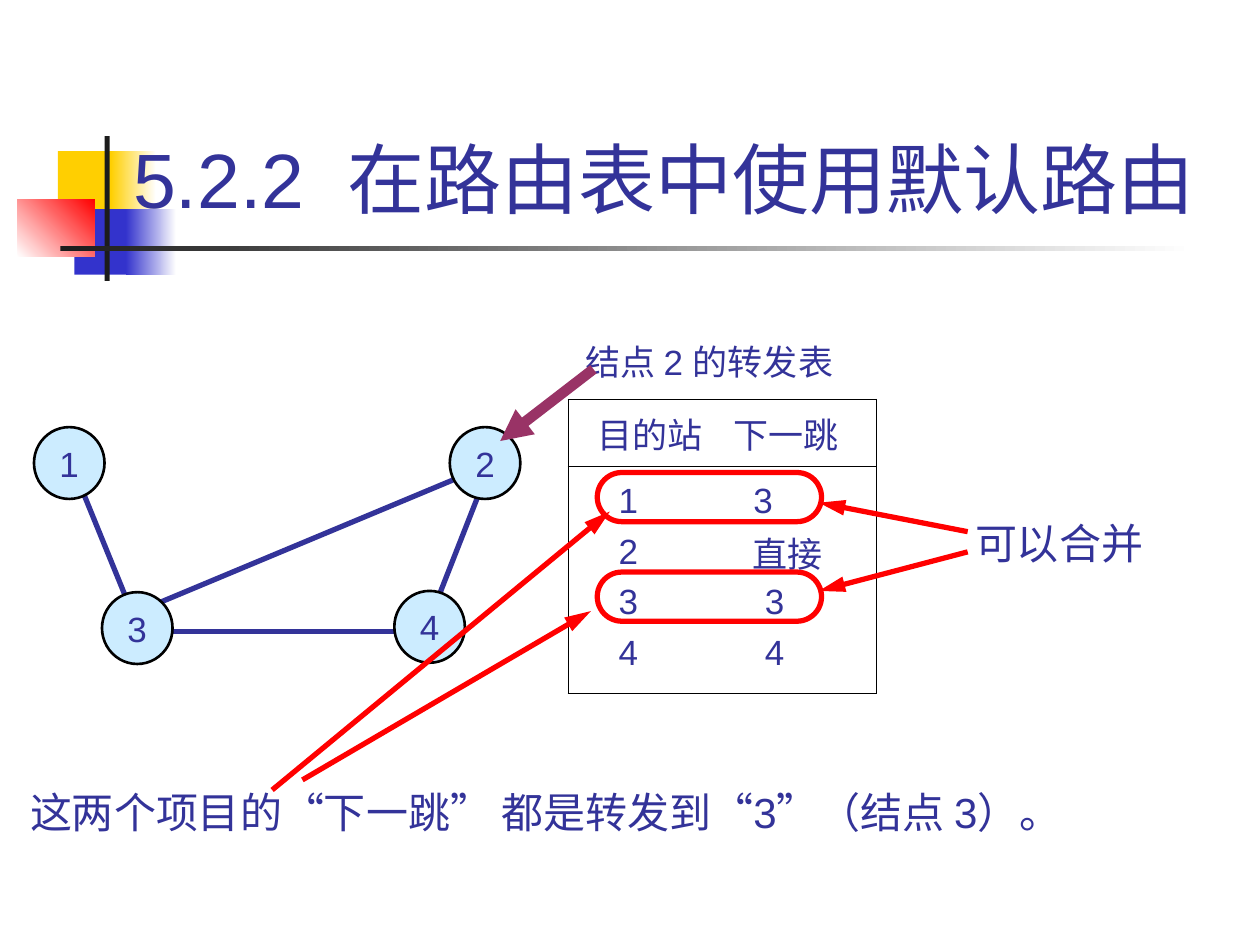
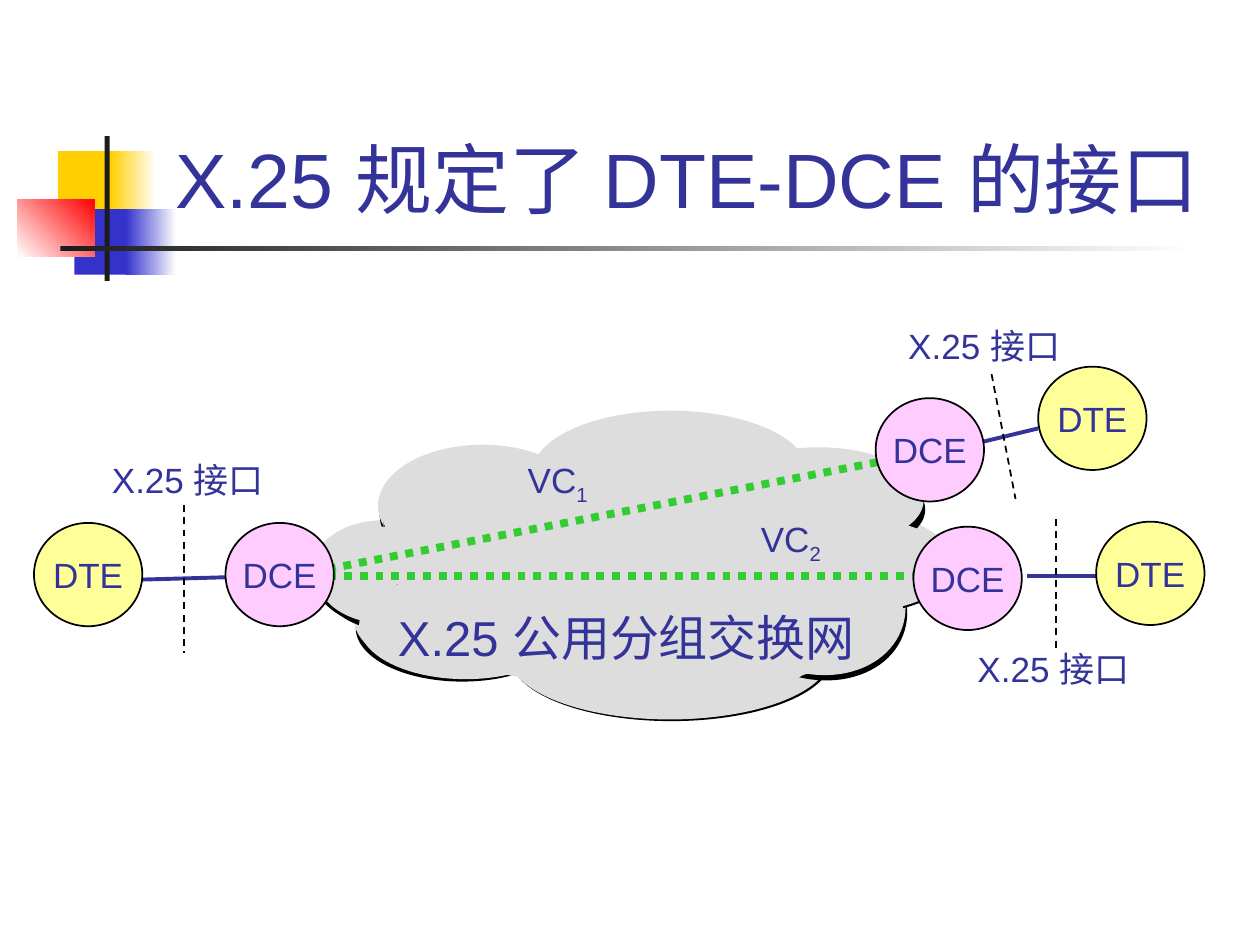
"""Builds two slides: default routes in a forwarding table, and the X.25 DTE-DCE interface."""
from lxml import etree
from pptx import Presentation
from pptx import util as u
from pptx.dml import color as c
from pptx.enum import dml, shapes, text
from pptx.oxml import ns

INK = c.RGBColor(0x33, 0x33, 0x99)
BLACK = c.RGBColor(0, 0, 0)
WHITE = c.RGBColor(0xFF, 0xFF, 0xFF)
RED = c.RGBColor(0xFF, 0, 0)
YELLOW = c.RGBColor(0xFF, 0xCF, 0x01)
BLUE = c.RGBColor(0x33, 0x33, 0xCC)
CHARCOAL = c.RGBColor(0x1C, 0x1C, 0x1C)
NODE_FILL = c.RGBColor(0xCC, 0xEC, 0xFF)
PLUM = c.RGBColor(0x99, 0x33, 0x66)
CLOUD_GREY = c.RGBColor(0xDD, 0xDD, 0xDD)
CIRCUIT_GREEN = c.RGBColor(0x33, 0xCC, 0x33)
DTE_FILL = c.RGBColor(0xFF, 0xFF, 0x99)
DCE_FILL = c.RGBColor(0xFF, 0xCC, 0xFF)

FORM = shapes.MSO_SHAPE
ALIGN = text.PP_ALIGN
DOT, DASH = dml.MSO_LINE.ROUND_DOT, dml.MSO_LINE.DASH
TITLE_FRAME = {"vertical_anchor": text.MSO_ANCHOR.BOTTOM, "word_wrap": True,
               "auto_size": text.MSO_AUTO_SIZE.NONE}
NODE_FRAME = {"vertical_anchor": text.MSO_ANCHOR.MIDDLE, "word_wrap": False}


def write(frame, words, size=20, align=ALIGN.LEFT, settings=None, subscript=""):
    for name, value in (settings or {}).items():
        setattr(frame, name, value)
    paragraph = frame.paragraphs[0]
    paragraph.alignment = align
    for part in filter(None, (words, subscript)):
        run = paragraph.add_run()
        run.text = part
        for name, value in {"name": "Arial", "size": u.Pt(size), "bold": False}.items():
            setattr(run.font, name, value)
        run.font.color.rgb = INK
    if subscript:
        run.font._element.set("baseline", "-25000")


def draw_line(slide, ends, color, width, dash=None, head=None):
    link = slide.shapes.add_connector(shapes.MSO_CONNECTOR.STRAIGHT, *map(u.Inches, ends))
    link.line.color.rgb = color
    link.line.width = u.Pt(width)
    if dash:
        link.line.dash_style = dash
    if head:
        etree.SubElement(link.line._get_or_add_ln(), ns.qn("a:tailEnd"),
                         type="triangle", len=head)
    etree.SubElement(link.element.spPr, ns.qn("a:effectLst"))


deck = Presentation()
deck.slide_width, deck.slide_height = u.Inches(10), u.Inches(7.5)
title_only = deck.slide_layouts[5]
routing = deck.slides.add_slide(title_only)
x25 = deck.slides.add_slide(title_only)

for box, start, finish, angle in [
    ((0.46, 1.2, 0.48, 0.52), YELLOW, None, 0),
    ((0.88, 1.2, 0.36, 0.52), YELLOW, WHITE, 0),
    ((0.59, 1.66, 0.46, 0.52), BLUE, None, 0),
    ((1, 1.66, 0.4, 0.52), BLUE, WHITE, 0),
    ((0.14, 1.58, 0.61, 0.46), WHITE, RED, 45),
    ((0.83, 1.08, 0.04, 1.15), CHARCOAL, None, 0),
    ((0.48, 1.95, 9, 0.04), CHARCOAL, WHITE, 0),
]:
    ornament = routing.shapes.add_shape(FORM.RECTANGLE, *map(u.Inches, box))
    ornament.shadow.inherit = False
    ornament.line.fill.background()
    if finish is None:
        ornament.fill.solid()
        ornament.fill.fore_color.rgb = start
    else:
        ornament.fill.gradient()
        ornament.fill.gradient_angle = angle
        for stop, shade, position in zip(ornament.fill.gradient_stops, (start, finish), (0, 1)):
            stop.color.rgb = shade
            stop.position = position
    title_only.shapes.element.append(ornament.element)

for slide, left, heading in [
    (routing, 0.9, "5.2.2  在路由表中使用默认路由 "),
    (x25, 1.26, "X.25 规定了 DTE-DCE 的接口 "),
]:
    title = slide.shapes.title
    title.left, title.top = u.Inches(left), u.Inches(0.23)
    title.width, title.height = u.Inches(9.78 - left), u.Inches(1.6)
    write(title.text_frame, heading, 44, ALIGN.CENTER, TITLE_FRAME)

for route in [(3.84, 3.82, 3.44, 4.84), (0.64, 3.86, 1.08, 4.94),
              (1.2, 5.01, 3.23, 5.01), (1.2, 4.81, 3.69, 3.77)]:
    draw_line(routing, route, INK, 3)

dte, dce = ("DTE", DTE_FILL), ("DCE", DCE_FILL)
circles = [(routing, number, NODE_FILL, 1.5, (left, top, 0.56, 0.57)) for number, left, top in [
    ("1", 0.27, 3.39), ("2", 3.57, 3.39), ("4", 3.13, 4.69), ("3", 0.81, 4.7)]]
circles += [(x25, *kind, 1, (left, top, 0.86, 0.82)) for kind, left, top in [
    (dte, 8.7, 4.14), (dte, 8.24, 2.91), (dce, 7.25, 4.18),
    (dce, 6.95, 3.16), (dce, 1.79, 4.15), (dte, 0.27, 4.15)]]

cloud_puffs = [
    (5.94, 4.06, 1.6, 0.75, 5.1, 79), (4.04, 4.7, 2.55, 1.01, 1.4, 45),
    (2.81, 4.49, 1.69, 0.85, 5.1, 79), (2.48, 4.13, 1.11, 0.77, 5.1, 79),
    (3, 3.53, 1.66, 0.97, 5.1, 79), (4.23, 3.26, 2.18, 0.97, 5.1, 79),
    (5.7, 3.55, 1.6, 0.75, 5.1, 79), (3.4, 3.84, 3.29, 1.26, 5.1, 79),
    (5.61, 4.08, 1.6, 1.25, 3.2, 72), (4.26, 3.31, 2.18, 0.97, 5.1, 79),
    (3.03, 3.58, 1.66, 0.96, 5.1, 79), (2.51, 4.18, 1.1, 0.77, 5, 53),
    (5.73, 3.6, 1.6, 0.75, 5.1, 79), (5.97, 4.11, 1.6, 0.75, 1.4, 45),
    (3.43, 3.89, 3.29, 1.26, 5.1, 79), (2.85, 4.54, 1.69, 0.85, 8.9, 333),
]
for *box, distance, direction in cloud_puffs:
    puff = x25.shapes.add_shape(FORM.OVAL, *map(u.Inches, box))
    puff.rotation = 22.3 if direction == 72 else 0
    puff.fill.solid()
    puff.fill.fore_color.rgb = CLOUD_GREY
    puff.line.fill.background()
    puff.shadow.inherit = False
    shade = etree.SubElement(
        puff.element.spPr.find(ns.qn("a:effectLst")), ns.qn("a:outerShdw"),
        dist=str(u.Pt(distance)), dir=str(direction * 60000), algn="ctr", rotWithShape="0")
    etree.SubElement(shade, ns.qn("a:srgbClr"), val=str(BLACK))

cloud_core = [
    (3, 4.43), (3.23, 4.27), (3.07, 4.29), (3.19, 4.21), (3.28, 4.13), (3.44, 3.98),
    (3.58, 3.93), (3.83, 3.83), (4.02, 3.74), (4.23, 3.71), (4.46, 3.65), (5.33, 3.71),
    (5.7, 3.8), (6.05, 3.93), (6.19, 3.99), (6.54, 4.13), (6.74, 4.24), (6.88, 4.35),
    (7.02, 4.5), (7.14, 4.7), (7.17, 4.84), (7.14, 5.01), (7.09, 5.09), (6.95, 5.12),
    (6.77, 5.21), (6.51, 5.31), (6.37, 5.36), (6.21, 5.45), (4.27, 5.4), (4.04, 5.36),
    (3.88, 5.21), (3.69, 5.05), (3.58, 4.92), (3.35, 4.77), (3.16, 4.64), (3.05, 4.52),
]
outline = [(u.Inches(x), u.Inches(y)) for x, y in cloud_core]
builder = x25.shapes.build_freeform(*outline[0], scale=1.0)
builder.add_line_segments(outline[1:], close=True)
core = builder.convert_to_shape()
core.shadow.inherit = False
core.fill.solid()
core.fill.fore_color.rgb = CLOUD_GREY
core.line.fill.background()

for ends, color, width, dash in [
    ((2.48, 4.57, 7.69, 4.57), CIRCUIT_GREEN, 4.5, DOT),
    ((8.15, 4.57, 8.78, 4.57), INK, 2.25, None),
    ((7.66, 3.54, 8.24, 3.4), INK, 2.25, None),
    ((2.48, 4.54, 7.11, 3.64), CIRCUIT_GREEN, 4.5, DOT),
    ((1.12, 4.6, 1.85, 4.58), INK, 2.25, None),
    ((8.38, 4.12, 8.38, 5.14), BLACK, 1, DASH),
    ((7.87, 2.97, 8.06, 3.96), BLACK, 1, DASH),
    ((1.46, 4.01, 1.46, 5.18), BLACK, 1, DASH),
]:
    draw_line(x25, ends, color, width, dash)

for slide, name, fill, border, box in circles:
    circle = slide.shapes.add_shape(FORM.OVAL, *map(u.Inches, box))
    circle.shadow.inherit = False
    circle.fill.solid()
    circle.fill.fore_color.rgb = fill
    circle.line.color.rgb = BLACK
    circle.line.width = u.Pt(border)
    write(circle.text_frame, name, 20, ALIGN.CENTER, NODE_FRAME)

forwarding_rows = [
    (("目的站", 0.23), ("下一跳", 0.1)),
    (("1", 0.4), ("3", 0.26)),
    (("2", 0.4), ("直接", 0.25)),
    (("3", 0.4), ("3", 0.35)),
    (("4", 0.4), ("4", 0.35)),
]
forwarding = routing.shapes.add_table(
    5, 2, *map(u.Inches, (4.51, 3.17, 2.45, 2.33))).table
forwarding.first_row = forwarding.horz_banding = False
for column, width in zip(forwarding.columns, (1.21, 1.24)):
    column.width = u.Inches(width)
for row, height in zip(forwarding.rows, (0.53, 0.48, 0.4, 0.4, 0.52)):
    row.height = u.Inches(height)
for r, entries in enumerate(forwarding_rows):
    for k, (entry, indent) in enumerate(entries):
        cell = forwarding.cell(r, k)
        for name, value in {"margin_left": indent, "margin_right": 0,
                            "margin_top": 0.08 if r == 1 else 0,
                            "margin_bottom": 0.12 if r == 4 else 0}.items():
            setattr(cell, name, u.Inches(value))
        cell.vertical_anchor = text.MSO_ANCHOR.MIDDLE
        edges = {"lnL": k == 0, "lnR": k == 1, "lnT": r < 2, "lnB": r in (0, 4)}
        for edge, ruled in edges.items():
            rule = etree.SubElement(cell._tc.get_or_add_tcPr(), ns.qn("a:" + edge), w="9525")
            paint = etree.SubElement(rule, ns.qn("a:solidFill" if ruled else "a:noFill"))
            if ruled:
                etree.SubElement(paint, ns.qn("a:srgbClr"), val=str(BLACK))
        cell.fill.solid()
        cell.fill.fore_color.rgb = WHITE
        write(cell.text_frame, entry)

for slide, words, subscript, size, wrap, box in [
    (routing, "结点 2 的转发表", "", 20, False, (4.55, 2.65, 2.3, 0.44)),
    (routing, "这两个项目的“下一跳” 都是转发到“3”（结点 3）。", "", 24, True,
     (0.14, 6.19, 8.2, 0.9)),
    (routing, "可以合并", "", 24, False, (7.64, 4.06, 1.53, 0.5)),
    (x25, "X.25 接口", "", 20, False, (7.66, 5.09, 1.47, 0.43)),
    (x25, "X.25 接口", "", 20, False, (7.11, 2.53, 1.47, 0.43)),
    (x25, "X.25 接口", "", 20, False, (0.79, 3.59, 1.47, 0.43)),
    (x25, "X.25 公用分组交换网", "", 28, False, (3.06, 4.77, 3.92, 0.56)),
    (x25, "VC", "2", 20, True, (5.94, 4.06, 0.8, 0.48)),
    (x25, "VC", "1", 20, True, (4.09, 3.59, 0.8, 0.48)),
]:
    label = slide.shapes.add_textbox(*map(u.Inches, box))
    write(label.text_frame, words, size, settings={"word_wrap": wrap}, subscript=subscript)

for top in (3.75, 4.54):
    mergeable = routing.shapes.add_shape(
        FORM.ROUNDED_RECTANGLE, *map(u.Inches, (4.74, top, 1.78, 0.39)))
    mergeable.adjustments[0] = 0.5
    mergeable.shadow.inherit = False
    mergeable.fill.background()
    mergeable.line.color.rgb = RED
    mergeable.line.width = u.Pt(3)

draw_line(routing, (4.71, 2.93, 3.97, 3.5), PLUM, 6, head="med")
for pointer in [(2.16, 6.27, 4.84, 4.06), (2.4, 6.19, 4.69, 4.85),
                (7.68, 4.38, 6.5, 4.69), (7.68, 4.22, 6.5, 3.99)]:
    draw_line(routing, pointer, RED, 3, head="lg")

deck.save("out.pptx")
